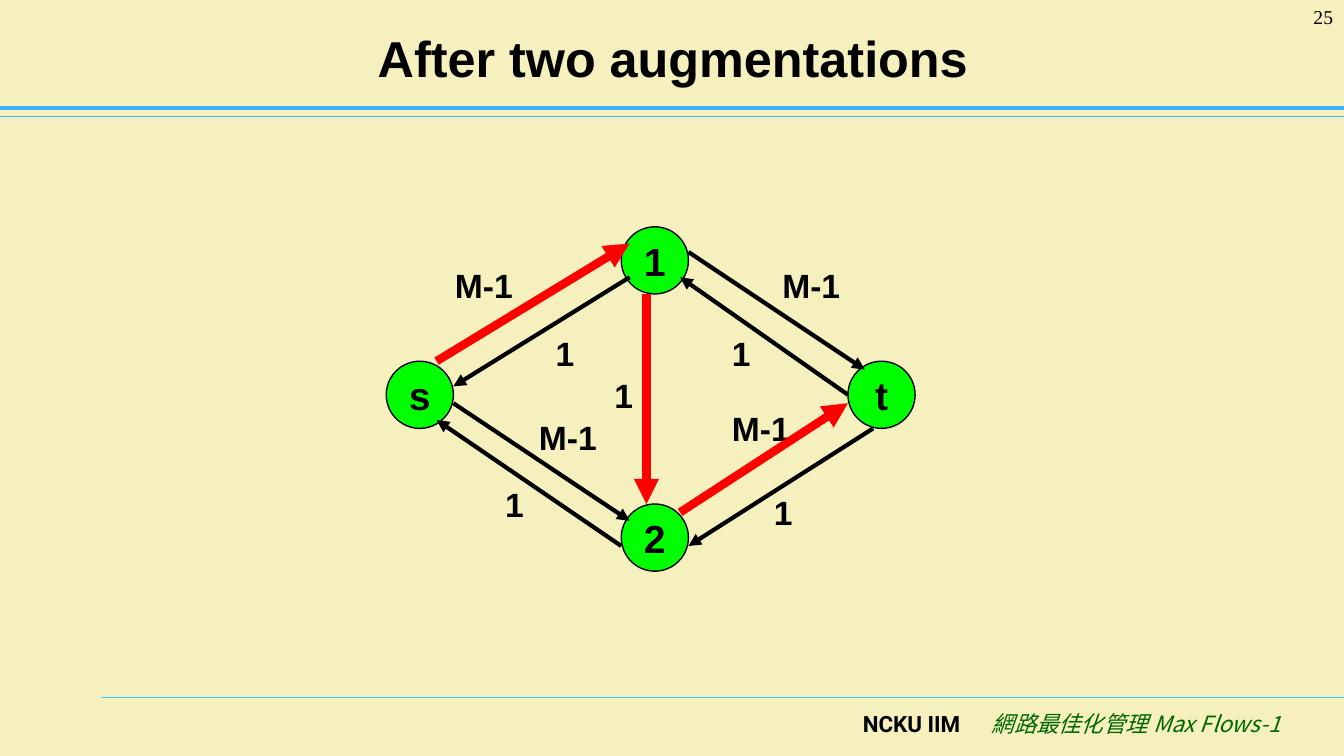
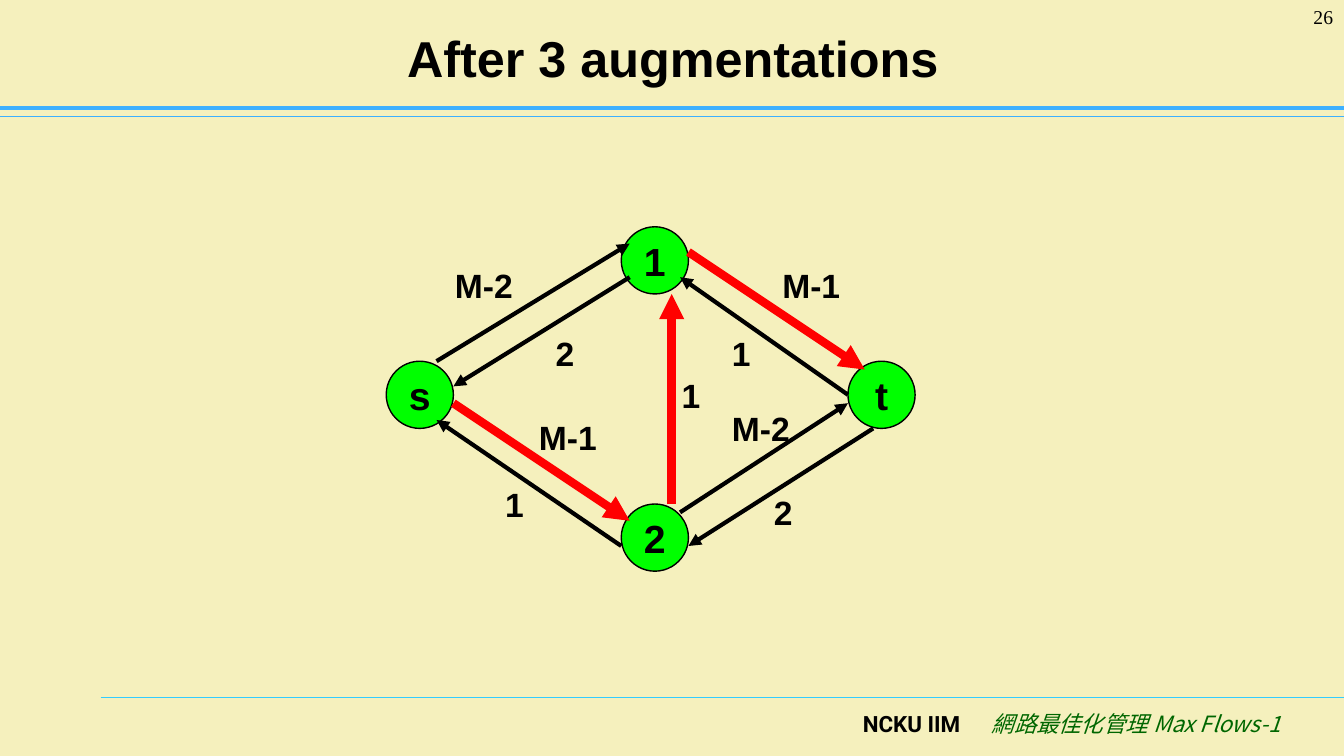
from dataclasses import dataclass
from typing import Any

from lxml.etree import SubElement
from pptx import Presentation
from pptx.dml.color import RGBColor
from pptx.enum.shapes import MSO_CONNECTOR, MSO_SHAPE
from pptx.enum.text import MSO_ANCHOR, PP_ALIGN
from pptx.oxml.ns import qn
from pptx.util import Inches, Pt

CREAM = RGBColor(0xF5, 0xF0, 0xBD)
SKY = RGBColor(0x3D, 0xB0, 0xFF)
CYAN = RGBColor(0x33, 0xCC, 0xFF)
BLACK = RGBColor(0, 0, 0)
GREEN = RGBColor(0, 0xFF, 0)
DARK_GREEN = RGBColor(0, 0x66, 0)
RED = RGBColor(0xFF, 0, 0)

WIDTH, HEIGHT = 13.34, 7.5
CELL = 1 / 12
NODE_CELLS = 8
LABEL_CELLS = 6
FIRST_NUMBER = 25

TITLE = dict(name="Arial", size=Pt(36), bold=True)
NODE = dict(name="Arial", size=Pt(28), bold=True)
LABEL = dict(name="Arial", size=Pt(24), bold=True)
NUMBER = dict(name="Times New Roman", size=Pt(14))
SCHOOL = dict(name="Roboto", size=Pt(16), bold=True)
COURSE = dict(name="Noto Sans CJK SC", size=Pt(16), italic=True)


@dataclass(frozen=True)
class Rule:
    left: float
    top: float
    color: RGBColor
    weight: float


@dataclass(frozen=True)
class Node:
    name: str
    col: int
    row: int


@dataclass(frozen=True)
class Edge:
    start: tuple[int, int]
    end: tuple[int, int]
    label: tuple[int, int]
    label_cols: int = 7


@dataclass(frozen=True)
class Stage:
    title: str
    capacities: dict[str, str]
    augmenting: tuple[str, ...]


RULES = (
    Rule(1, 6.92, CYAN, 0.75),
    Rule(0, 1.16, SKY, 0.75),
    Rule(0, 1.07, SKY, 2.5),
)
NODES = (Node("s", 46, 43), Node("1", 74, 27), Node("2", 74, 60), Node("t", 101, 43))
EDGES = {
    "s1": Edge((52, 43), (75, 29), (53, 31), 13),
    "1t": Edge((82, 30), (103, 44), (92, 31), 13),
    "s2": Edge((54, 48), (75, 62), (63, 49), 10),
    "2t": Edge((81, 61), (101, 48), (86, 48), 12),
    "t2": Edge((104, 51), (82, 65), (91, 58)),
    "1s": Edge((75, 33), (54, 46), (65, 39)),
    "2s": Edge((74, 65), (52, 50), (59, 57)),
    "t1": Edge((101, 47), (81, 33), (86, 39)),
    "12": Edge((77, 35), (77, 60), (72, 44)),
    "21": Edge((80, 60), (80, 35), (80, 44)),
}
SHARED = {"1t": "M-1", "s2": "M-1", "2s": "1", "t1": "1"}
STAGES = (
    Stage(
        "After two augmentations",
        SHARED | {"s1": "M-1", "2t": "M-1", "t2": "1", "1s": "1", "12": "1"},
        ("s1", "12", "2t"),
    ),
    Stage(
        "After 3 augmentations",
        SHARED | {"s1": "M-2", "2t": "M-2", "t2": "2", "1s": "2", "21": "1"},
        ("s2", "21", "1t"),
    ),
)


def write(shape: Any, text: str, style: dict[str, Any], align: PP_ALIGN,
          color: RGBColor = BLACK, anchor: MSO_ANCHOR = MSO_ANCHOR.TOP,
          wrap: bool = True) -> None:
    tf = shape.text_frame
    tf.word_wrap = wrap
    tf.vertical_anchor = anchor
    p = tf.paragraphs[0]
    p.alignment = align
    r = p.add_run()
    r.text = text
    for key, value in style.items():
        setattr(r.font, key, value)
    r.font.color.rgb = color
    SubElement(r.font._element, qn("a:ea")).set("typeface", style["name"])


def add_text(s: Any, box: tuple[float, float, float, float], text: str,
             style: dict[str, Any], align: PP_ALIGN, **options: Any) -> None:
    sp = s.shapes.add_textbox(*(Inches(v) for v in box))
    write(sp, text, style, align, **options)


def add_line(s: Any, start: tuple[float, float], end: tuple[float, float],
             color: RGBColor, weight: float, arrow: bool = False) -> None:
    ends = (Inches(v) for v in (*start, *end))
    line = s.shapes.add_connector(MSO_CONNECTOR.STRAIGHT, *ends)
    line.line.color.rgb = color
    line.line.width = Pt(weight)
    if arrow:
        SubElement(line.line._get_or_add_ln(), qn("a:tailEnd")).set("type", "triangle")
    SubElement(line._element.spPr, qn("a:effectLst"))


def add_frame(s: Any, title: str, number: int) -> None:
    for rule in RULES:
        add_line(s, (rule.left, rule.top), (WIDTH, rule.top), rule.color, rule.weight)
    add_text(s, (7.63, 7, 2, 0.5), "NCKU IIM", SCHOOL, PP_ALIGN.RIGHT)
    add_text(s, (9.63, 7, 3.18, 0.5), "網路最佳化管理 Max Flows-1", COURSE,
             PP_ALIGN.RIGHT, color=DARK_GREEN)
    add_text(s, (0.68, 0.13, 12, 0.87), title, TITLE, PP_ALIGN.CENTER,
             anchor=MSO_ANCHOR.MIDDLE)
    add_text(s, (12.22, 0, 1.11, 0.5), str(number), NUMBER, PP_ALIGN.RIGHT)


def add_node(s: Any, node: Node) -> None:
    box = (node.col, node.row, NODE_CELLS, NODE_CELLS)
    sp = s.shapes.add_shape(MSO_SHAPE.OVAL, *(Inches(v * CELL) for v in box))
    sp.shadow.inherit = False
    sp.fill.solid()
    sp.fill.fore_color.rgb = GREEN
    sp.line.color.rgb = BLACK
    sp.line.width = Pt(1)
    write(sp, node.name, NODE, PP_ALIGN.CENTER, anchor=MSO_ANCHOR.MIDDLE, wrap=False)


def add_label(s: Any, edge: Edge, capacity: str) -> None:
    col, row = edge.label
    box = (col * CELL, row * CELL, edge.label_cols * CELL, LABEL_CELLS * CELL)
    add_text(s, box, capacity, LABEL, PP_ALIGN.LEFT)


def add_edge(s: Any, edge: Edge, augmenting: bool) -> None:
    color, weight = (RED, 6) if augmenting else (BLACK, 3)
    start = (edge.start[0] * CELL, edge.start[1] * CELL)
    end = (edge.end[0] * CELL, edge.end[1] * CELL)
    add_line(s, start, end, color, weight, arrow=True)


def add_stage(prs: Any, stage: Stage, number: int) -> None:
    s = prs.slides.add_slide(prs.slide_layouts[6])
    add_frame(s, stage.title, number)
    for node in NODES:
        add_node(s, node)
    for name, capacity in stage.capacities.items():
        add_label(s, EDGES[name], capacity)
    for name in stage.capacities:
        add_edge(s, EDGES[name], name in stage.augmenting)


def main() -> None:
    prs = Presentation()
    prs.slide_width, prs.slide_height = Inches(WIDTH), Inches(HEIGHT)
    fill = prs.slide_master.background.fill
    fill.solid()
    fill.fore_color.rgb = CREAM
    for number, stage in enumerate(STAGES, FIRST_NUMBER):
        add_stage(prs, stage, number)
    prs.save("out.pptx")


if __name__ == "__main__":
    main()
